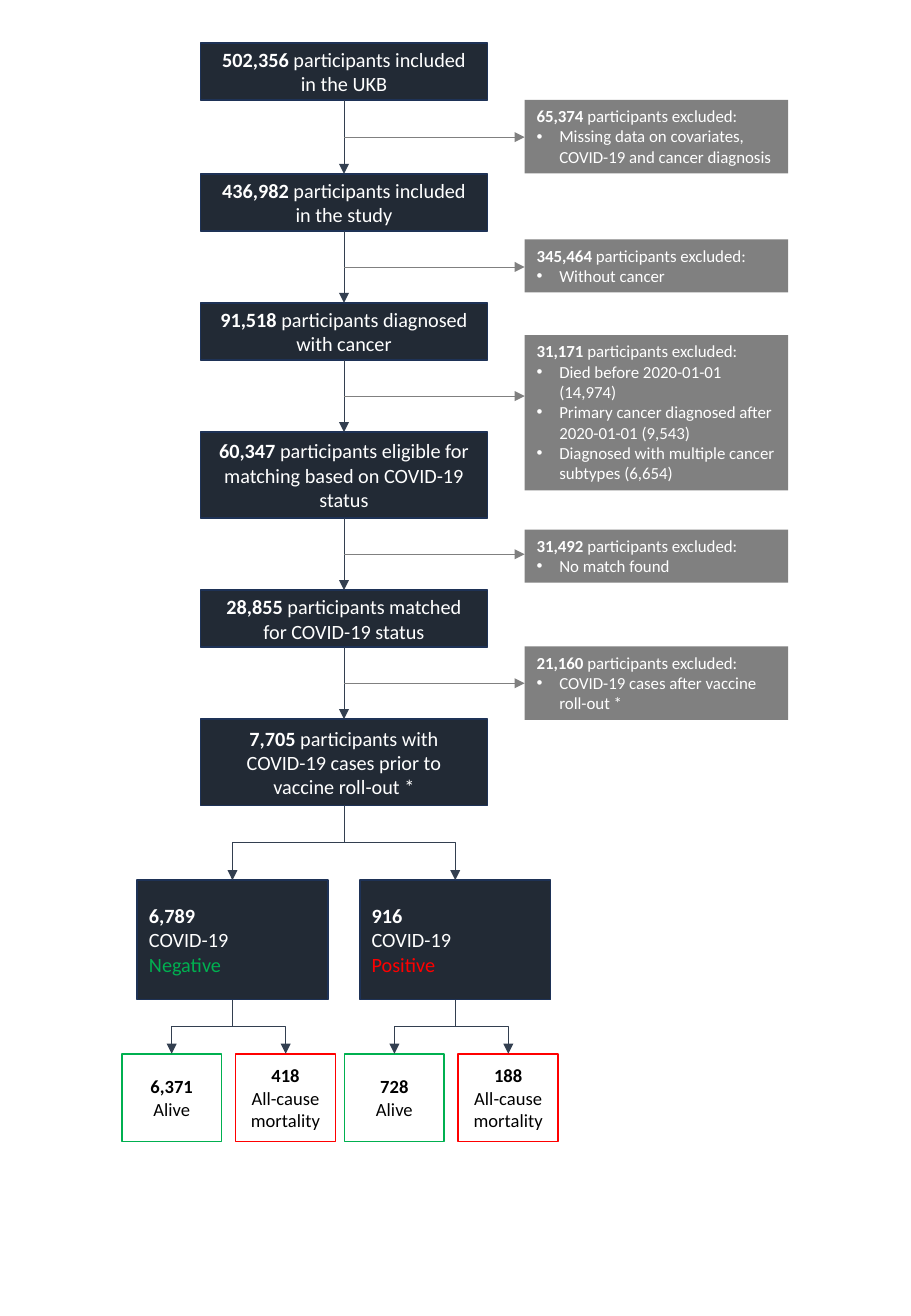
from lxml.etree import SubElement
from pptx import Presentation
from pptx.dml.color import RGBColor
from pptx.enum.shapes import MSO_CONNECTOR as CONNECTOR, MSO_SHAPE as SHAPE
from pptx.enum.text import MSO_ANCHOR as ANCHOR, MSO_AUTO_SIZE as AUTO_SIZE, PP_ALIGN as ALIGN
from pptx.oxml.ns import qn
from pptx.util import Pt

WHITE, BLACK, NAVY, EDGE = "FFFFFF", "000000", "222A35", "1E3256"
SLATE, GRAY, GREEN, RED = "333F50", "808080", "00B050", "FF0000"
BOTTOM_SITE, TOP_SITE = 2, 0


def color(value):
    return RGBColor.from_string(value)


class FlowChart:
    font = "Calibri"
    indent = 13.5

    def __init__(self, slide):
        self.slide = slide

    def box(self, left, top, width, height, fill, line=None):
        shape = self.slide.shapes.add_shape(SHAPE.RECTANGLE, Pt(left), Pt(top), Pt(width), Pt(height))
        shape.shadow.inherit = False
        shape.fill.solid()
        shape.fill.fore_color.rgb = color(fill)
        if line:
            shape.line.color.rgb = color(line)
            shape.line.width = Pt(1)
        else:
            shape.line.fill.background()
        shape.text_frame.word_wrap = True
        shape.text_frame.vertical_anchor = ANCHOR.MIDDLE
        return shape

    def label(self, shape, paragraphs, size, align=ALIGN.LEFT):
        frame = shape.text_frame
        for index, runs in enumerate(paragraphs):
            paragraph = frame.add_paragraph() if index else frame.paragraphs[0]
            paragraph.alignment = align
            for text, bold, ink in runs:
                run = paragraph.add_run()
                run.text = text
                run.font.name = self.font
                run.font.size = Pt(size)
                run.font.bold = bold
                run.font.color.rgb = color(ink)

    def stage(self, top, height, count, lines):
        shape = self.box(118.9, top, 170, height, NAVY, EDGE)
        first, *others = lines
        paragraphs = [[(count, True, WHITE), (" " + first, False, WHITE)]]
        paragraphs += [[(line, False, WHITE)] for line in others]
        self.label(shape, paragraphs, 12, ALIGN.CENTER)
        return shape

    def exclusion(self, top, height, count, reasons):
        shape = self.box(311, top, 156.2, height, GRAY)
        paragraphs = [[(count, True, WHITE), (" participants excluded:", False, WHITE)]]
        paragraphs += [[(reason, False, WHITE)] for reason in reasons]
        self.label(shape, paragraphs, 10)
        shape.text_frame.vertical_anchor = ANCHOR.TOP
        shape.text_frame.auto_size = AUTO_SIZE.SHAPE_TO_FIT_TEXT
        for paragraph in shape.text_frame.paragraphs[1:]:
            self.bullet(paragraph)
        return shape

    def bullet(self, paragraph):
        properties = paragraph._p.get_or_add_pPr()
        properties.set("marL", str(Pt(self.indent)))
        properties.set("indent", str(-Pt(self.indent)))
        SubElement(properties, qn("a:buFont"), typeface="Arial")
        SubElement(properties, qn("a:buChar"), char="•")

    def group(self, left, count, result, ink):
        shape = self.box(left, 521.5, 113.2, 70.8, NAVY, EDGE)
        self.label(shape, [[(count, True, WHITE)], [("COVID-19", False, WHITE)], [(result, False, ink)]], 12)
        return shape

    def outcome(self, left, count, status, line):
        shape = self.box(left, 624.4, 59.2, 52.1, WHITE, line)
        self.label(shape, [[(count, True, BLACK)], [(status, False, BLACK)]], 11, ALIGN.CENTER)
        return shape

    def arrow(self, kind, points, ink):
        connector = self.slide.shapes.add_connector(kind, *points)
        connector.line.color.rgb = color(ink)
        connector.line.width = Pt(0.5)
        SubElement(connector.line._get_or_add_ln(), qn("a:tailEnd"), type="triangle")
        SubElement(connector._element.spPr, qn("a:effectLst"))
        return connector

    def link(self, source, target, kind=CONNECTOR.STRAIGHT):
        start_x, start_y = source.left + source.width // 2, source.top + source.height
        end_x, end_y = target.left + target.width // 2, target.top
        connector = self.arrow(kind, (start_x, start_y, end_x, end_y), SLATE)
        connector.begin_connect(source, BOTTOM_SITE)
        connector.end_connect(target, TOP_SITE)
        return connector

    def branch(self, source, target):
        connector = self.link(source, target, CONNECTOR.ELBOW)
        center_x = connector.left + connector.width // 2
        center_y = connector.top + connector.height // 2
        to_right = connector.end_x > connector.begin_x
        length, spread = connector.height, connector.width
        transform = connector._element.spPr.xfrm
        transform.flipH = to_right
        transform.rot = 270 if to_right else 90
        connector.left, connector.top = center_x - length // 2, center_y - spread // 2
        connector.width, connector.height = length, spread

    def exclude(self, upper, lower, excluded):
        start_x = upper.left + upper.width // 2
        middle = (upper.top + upper.height + lower.top) // 2
        self.arrow(CONNECTOR.STRAIGHT, (start_x, middle, excluded.left, middle), GRAY)


STAGES = [
    (25.6, 33.9, "502,356", ["participants included in the UKB"]),
    (103, 33.9, "436,982", ["participants included in the study"]),
    (179.5, 33.9, "91,518", ["participants diagnosed with cancer"]),
    (256, 51.1, "60,347", ["participants eligible for matching based on COVID-19 status"]),
    (349.7, 33.9, "28,855", ["participants matched for COVID-19 status"]),
    (426.1, 51.1, "7,705", ["participants with", "COVID-19 cases prior to", "vaccine roll-out *"]),
]
EXCLUSIONS = [
    (59.2, 43.6, "65,374", ["Missing data on covariates, COVID-19 and cancer diagnosis"]),
    (141.8, 31.5, "345,464", ["Without cancer"]),
    (198.6, 92, "31,171", [
        "Died before 2020-01-01 (14,974)",
        "Primary cancer diagnosed after 2020-01-01 (9,543)",
        "Diagnosed with multiple cancer subtypes (6,654)",
    ]),
    (313.8, 31.5, "31,492", ["No match found"]),
    (383, 43.6, "21,160", ["COVID-19 cases after vaccine roll-out *"]),
]
GROUPS = [
    (81.2, "6,789", "Negative", GREEN, "6,371", "418"),
    (213.2, "916", "Positive", RED, "728", "188"),
]


def main():
    presentation = Presentation()
    presentation.slide_width, presentation.slide_height = Pt(540), Pt(779.76)
    slide = presentation.slides.add_slide(presentation.slide_layouts[6])
    chart = FlowChart(slide)

    stages = [chart.stage(*stage) for stage in STAGES]
    for upper, lower, exclusion in zip(stages, stages[1:], EXCLUSIONS):
        chart.link(upper, lower)
        chart.exclude(upper, lower, chart.exclusion(*exclusion))

    for left, count, result, ink, alive, dead in GROUPS:
        group = chart.group(left, count, result, ink)
        chart.branch(stages[-1], group)
        outcome_left = left - 9
        chart.branch(group, chart.outcome(outcome_left, alive, "Alive", GREEN))
        chart.branch(group, chart.outcome(outcome_left + 67.5, dead, "All-cause mortality", RED))

    presentation.save("out.pptx")


if __name__ == "__main__":
    main()
